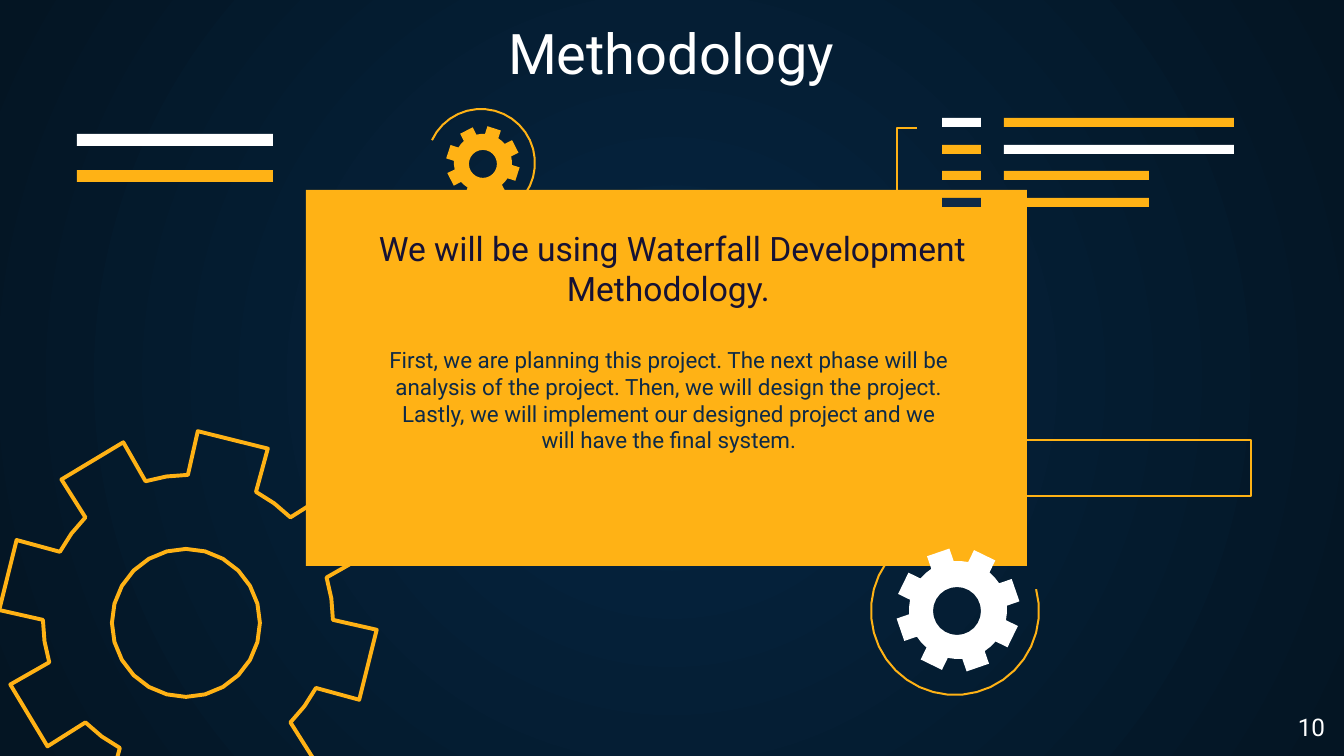
from math import cos, radians, sin
from lxml.etree import SubElement
from pptx import Presentation
from pptx.dml.color import RGBColor
from pptx.enum.shapes import MSO_SHAPE
from pptx.enum.text import MSO_ANCHOR, PP_ALIGN
from pptx.oxml.ns import qn
from pptx.util import Pt

PX = 914400 / 134.4
AMBER = RGBColor(0xFF, 0xB2, 0x15)
WHITE = RGBColor(0xFF, 0xFF, 0xFF)
NAVY = RGBColor(0x0E, 0x2A, 0x47)
INK = RGBColor(0x16, 0x12, 0x34)
GLOW = RGBColor(0x05, 0x26, 0x43)
EDGE = RGBColor(0x04, 0x15, 0x23)

deck = Presentation()
deck.slide_width, deck.slide_height = round(1344 * PX), round(756 * PX)
page = deck.slides.add_slide(deck.slide_layouts[6])


def paint(shape, fill, line=None, weight=1.09):
    """Give a shape a fill, an outline or both, and no shadow."""
    shape.shadow.inherit = False
    if fill is None:
        shape.fill.background()
    else:
        shape.fill.solid()
        shape.fill.fore_color.rgb = fill
    if line is None:
        shape.line.fill.background()
    else:
        shape.line.color.rgb = line
        shape.line.width = Pt(weight)


def draw_outline(contours, close):
    """Make one freeform from contours given as lists of px points."""
    builder = None
    for contour in contours:
        points = [(x * PX, y * PX) for x, y in contour]
        if builder is None:
            builder = page.shapes.build_freeform(*points[0], scale=1.0)
        else:
            builder.move_to(*points[0])
        builder.add_line_segments(points[1:], close=close)
    return builder.convert_to_shape()


# Background: radial glow
background_fill = page.background.fill
background_fill.gradient()
for stop, color in zip(background_fill.gradient_stops, (GLOW, EDGE)):
    stop.color.rgb = color
gradient = next(page._element.iter(qn("a:gradFill")))
gradient.remove(gradient.find(qn("a:lin")))
glow_path = SubElement(gradient, qn("a:path"), path="circle")
SubElement(glow_path, qn("a:fillToRect"), l="50000", t="50000", r="50000", b="50000")

# Arcs around the small gears: centre, radius, start and end angle
for x, y, radius, start, end in ((481, 163, 54, 205, 455), (955, 611, 84, -15, 235)):
    arc = [(x + radius * cos(radians(a)), y + radius * sin(radians(a)))
           for a in range(start, end + 1, 10)]
    paint(draw_outline([arc], close=False), None, AMBER)

# Corner bracket
bracket = [(917, 209), (897, 209), (897, 128), (917, 128)]
paint(draw_outline([bracket], close=False), None, AMBER)

# Gears: eight teeth, each narrower at the tip than at the root
TEETH = 8
PITCH = 360 // TEETH
for x, y, tip, root, hole, hole_x, hole_y, phase, fill, line in (
    (188, 620, 189, 145, 74, 186, 623, 14, None, AMBER),
    (958, 610, 62, 49, 24, 957, 611, 26, WHITE, None),
    (483, 163, 37, 29, 14, 483, 164, 18, AMBER, None),
):
    corners = [(root, -14), (tip, -11), (tip, 11), (root, 14), (root, PITCH / 2)]
    rim = [(x + r * cos(radians(middle + a)), y + r * sin(radians(middle + a)))
           for middle in range(phase, phase + 360, PITCH) for r, a in corners]
    opening = [(hole_x + hole * cos(radians(a)), hole_y + hole * sin(radians(a)))
               for a in range(360, 0, -15)]
    paint(draw_outline([rim, opening], close=True), fill, line, 2.1)

# Card, outlined bar beside it and two solid bars at the left
blocks = [
    (306, 190, 721, 376, AMBER, None),
    (968, 440, 283, 56, None, AMBER),
    (77, 134, 196, 12, WHITE, None),
    (77, 170, 196, 12, AMBER, None),
]
# Short and long bars in pairs at the right
for top, short_color, long_width, long_color in (
    (118, WHITE, 230, AMBER),
    (145, AMBER, 230, WHITE),
    (171, AMBER, 145, AMBER),
    (198, NAVY, 145, AMBER),
):
    blocks += [(942, top, 39, 9, short_color, None),
               (1004, top, long_width, 9, long_color, None)]
for *frame_px, fill, line in blocks:
    block = page.shapes.add_shape(MSO_SHAPE.RECTANGLE, *(round(v * PX) for v in frame_px))
    paint(block, fill, line)
    if frame_px[3] == 376:  # the card lies behind everything else
        page.shapes._spTree.insert(2, block._element)

# Texts
for *frame_px, text, size, color, align, anchor in (
    (370, 333, 598, 185,
     "First, we are planning this project. The next phase will be analysis of the project. "
     "Then, we will design the project. Lastly, we will implement our designed project "
     "and we will have the final system.",
     12, NAVY, PP_ALIGN.CENTER, MSO_ANCHOR.TOP),
    (335, 215, 675, 58, "We will be using Waterfall Development Methodology. ",
     18, INK, PP_ALIGN.CENTER, MSO_ANCHOR.TOP),
    (1258, 698, 80, 58, "10", 13, WHITE, PP_ALIGN.RIGHT, MSO_ANCHOR.MIDDLE),
    (200, 11, 943, 88, "Methodology", 30, WHITE, PP_ALIGN.CENTER, MSO_ANCHOR.BOTTOM),
):
    box = page.shapes.add_textbox(*(round(v * PX) for v in frame_px))
    frame = box.text_frame
    frame.word_wrap = True
    frame.vertical_anchor = anchor
    frame.margin_left = frame.margin_right = round(13 * PX)
    frame.margin_top = frame.margin_bottom = round(13 * PX)
    para = frame.paragraphs[0]
    para.alignment = align
    span = para.add_run()
    span.text = text
    span.font.name = "Roboto"
    span.font.size = Pt(size)
    span.font.color.rgb = color

deck.save("out.pptx")
